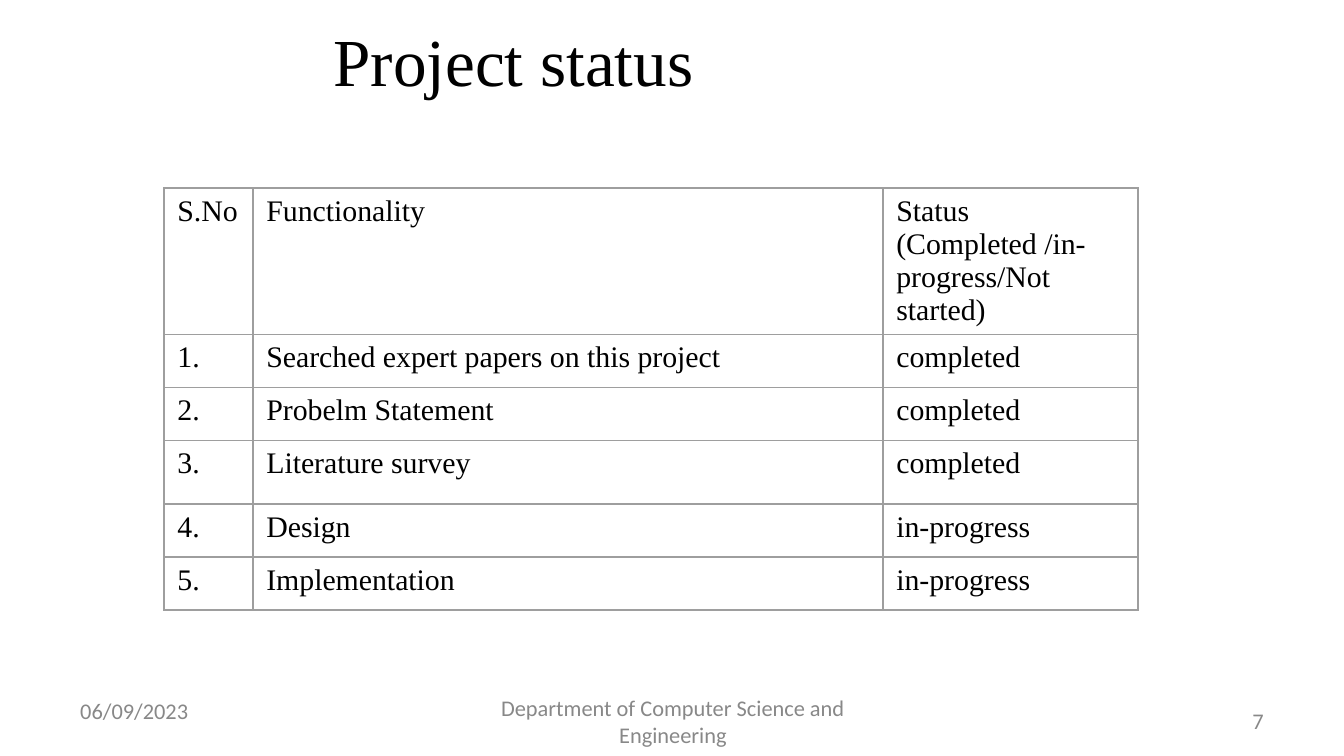
from dataclasses import dataclass

from lxml.etree import SubElement
from pptx import Presentation
from pptx.dml.color import RGBColor
from pptx.enum.text import MSO_ANCHOR, PP_ALIGN
from pptx.oxml.ns import qn
from pptx.util import Pt

PX = 914400 / 134.4


@dataclass(frozen=True)
class Theme:
    ink: str = "000000"
    muted: str = "888888"
    border: str = "9E9E9E"
    serif: str = "Times New Roman"
    sans: str = "Calibri"
    title_size: int = 36
    table_size: int = 16
    footer_size: int = 12
    border_width: float = 0.75


THEME = Theme()

STATUS_ROWS = [
    ("S.No", "Functionality", "Status\n(Completed /in-progress/Not started)"),
    ("1.", "Searched expert papers on this project", "completed"),
    ("2.", "Probelm Statement", "completed"),
    ("3.", "Literature survey", "completed"),
    ("4.", "Design", "in-progress"),
    ("5.", "Implementation", "in-progress"),
]
COLUMN_WIDTHS = (89, 630, 255)
ROW_HEIGHTS = (105, 53, 53, 64, 53, 53)


def px(length):
    return round(length * PX)


def format_text(frame, font_name, size, color, align=PP_ALIGN.LEFT):
    for paragraph in frame.paragraphs:
        paragraph.alignment = align
        paragraph.font.name = font_name
        paragraph.font.size = Pt(size)
        paragraph.font.color.rgb = RGBColor.from_string(color)


def add_heading(slide, box, text):
    heading = slide.shapes.title
    heading.left, heading.top, heading.width, heading.height = map(px, box)
    frame = heading.text_frame
    frame.text = text
    frame.vertical_anchor = MSO_ANCHOR.MIDDLE
    format_text(frame, THEME.serif, THEME.title_size, THEME.ink, PP_ALIGN.CENTER)


def outline_cell(cell):
    properties = cell._tc.get_or_add_tcPr()
    for side in ("a:lnL", "a:lnR", "a:lnT", "a:lnB"):
        line = SubElement(properties, qn(side), w=str(Pt(THEME.border_width)))
        fill = SubElement(line, qn("a:solidFill"))
        SubElement(fill, qn("a:srgbClr"), val=THEME.border)


def add_status_table(slide, left, top):
    table = slide.shapes.add_table(
        len(STATUS_ROWS), len(COLUMN_WIDTHS), px(left), px(top),
        px(sum(COLUMN_WIDTHS)), px(sum(ROW_HEIGHTS))).table
    table.first_row = table.horz_banding = False
    for column, width in zip(table.columns, COLUMN_WIDTHS):
        column.width = px(width)
    for row, height, entries in zip(table.rows, ROW_HEIGHTS, STATUS_ROWS):
        row.height = px(height)
        for cell, entry in zip(row.cells, entries):
            cell.text = entry
            format_text(cell.text_frame, THEME.serif, THEME.table_size, THEME.ink)
            outline_cell(cell)
            cell.fill.background()


def add_footer(slide, left, top, height):
    # Offset, width, text, alignment; the date sits at the top of the band
    parts = [
        (0, -4, 313, "06/09/2023", PP_ALIGN.LEFT, MSO_ANCHOR.TOP),
        (393, 0, 426, "Department of Computer Science and Engineering",
         PP_ALIGN.CENTER, MSO_ANCHOR.MIDDLE),
        (897, 0, 313, "7", PP_ALIGN.RIGHT, MSO_ANCHOR.MIDDLE),
    ]
    for dx, dy, width, text, align, anchor in parts:
        frame = slide.shapes.add_textbox(
            px(left + dx), px(top + dy), px(width), px(height)).text_frame
        frame.word_wrap = True
        frame.vertical_anchor = anchor
        if anchor == MSO_ANCHOR.TOP:
            frame.margin_top = 0
        frame.text = text
        format_text(frame, THEME.sans, THEME.footer_size, THEME.muted, align)


def build_status_slide(deck):
    slide = deck.slides.add_slide(deck.slide_layouts[5])
    add_heading(slide, (64, 13, 899, 93), "Project status")
    add_status_table(slide, 164, 188)
    add_footer(slide, 67, 701, 40)


deck = Presentation()
deck.slide_width, deck.slide_height = px(1344), px(756)
build_status_slide(deck)
deck.save("out.pptx")
